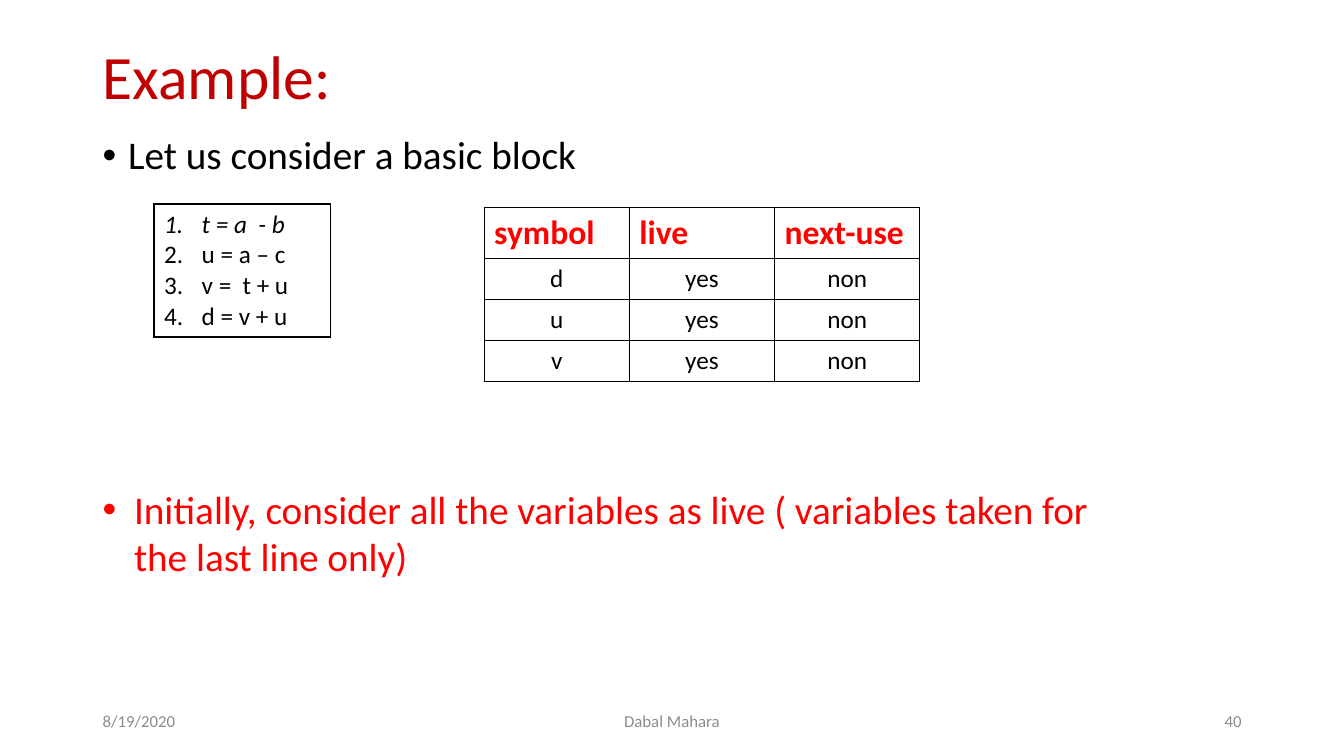
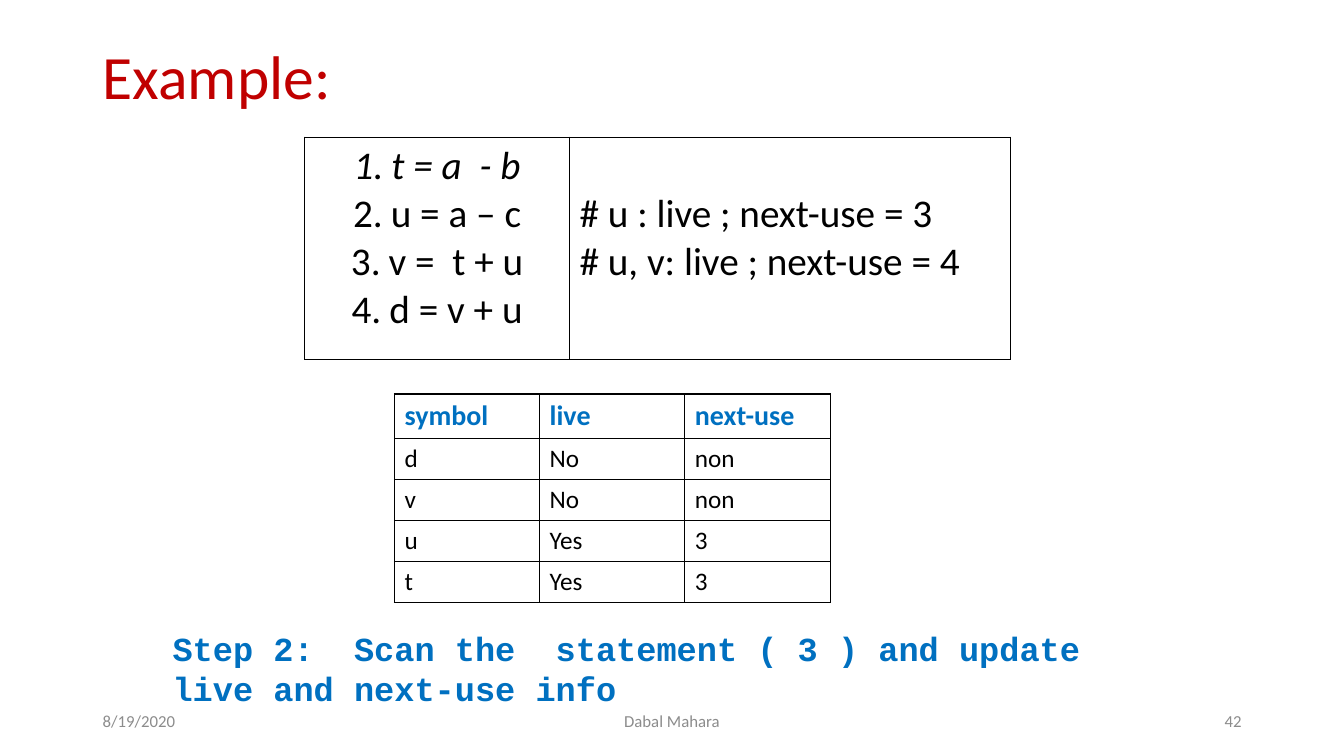
from lxml import etree
from pptx import Presentation
from pptx.dml.color import RGBColor
from pptx.enum.text import MSO_ANCHOR, PP_ALIGN
from pptx.oxml.ns import qn
from pptx.util import Cm, Pt

LEFT, MID, RIGHT = PP_ALIGN.LEFT, PP_ALIGN.CENTER, PP_ALIGN.RIGHT
TOP, CENTRE = MSO_ANCHOR.TOP, MSO_ANCHOR.MIDDLE

BLACK, WHITE, GREY = "000000", "FFFFFF", "8C8C8C"
DARK, RED, BLUE = "C00000", "FF0000", "0070C0"
BODY, CODE = "Calibri", "Courier New"
EDGE = 2.34  # left of title and footer, in cm

TITLE = "Example:"
DATE, AUTHOR = "8/19/2020", "Dabal Mahara"
HEAD = ["symbol", "live", "next-use"]
BLOCK = ["t = a  - b", "u = a – c", "v =  t + u", "d = v + u"]
NOTES = ["# u : live ; next-use = 3", "# u, v: live ; next-use = 4"]
FIRST = [["d", "yes", "non"], ["u", "yes", "non"], ["v", "yes", "non"]]
LATER = [["d", "No", "non"], ["v", "No", "non"],
         ["u", "Yes", "3"], ["t", "Yes", "3"]]
INTRO = "Let us consider a basic block"
RULE = ("Initially, consider all the variables as live "
        "( variables taken for the last line only)")
STEP = "Step 2:  Scan the  statement ( 3 ) and update live and next-use info"


def rgb(code):
    return RGBColor.from_string(code)


def mark(para, kind, indent):
    """Give a paragraph a hanging bullet ("•") or number ("1.")."""
    props = para._p.get_or_add_pPr()
    props.set("marL", str(Cm(indent)))
    props.set("indent", str(-Cm(indent)))
    if kind == "1.":
        etree.SubElement(props, qn("a:buFont"), typeface="+mj-lt")
        etree.SubElement(props, qn("a:buAutoNum"), type="arabicPeriod")
    else:
        etree.SubElement(props, qn("a:buFont"), typeface="Arial")
        etree.SubElement(props, qn("a:buChar"), char=kind)


def write(frame, lines, size=18, color=BLACK, font=BODY, bold=False,
          align=LEFT, space=None, bullet=None, indent=0, slant=()):
    """Fill a text frame; slant lists the indexes of italic lines."""
    for i, line in enumerate(lines):
        para = frame.add_paragraph() if i else frame.paragraphs[0]
        if bullet:
            mark(para, bullet, indent)
        para.alignment = align
        if space:
            para.line_spacing = space
        run = para.add_run()
        run.text = line
        face = run.font
        face.name, face.size, face.bold = font, Pt(size), bold
        face.italic = i in slant
        face.color.rgb = rgb(color)


def label(slide, text, x, y, wide, high, anchor=TOP, **style):
    box = slide.shapes.add_textbox(Cm(x), Cm(y), Cm(wide), Cm(high))
    frame = box.text_frame
    frame.word_wrap = True
    frame.vertical_anchor = anchor
    write(frame, [text], **style)


def border(cell):
    props = cell._tc.get_or_add_tcPr()
    for side in ("a:lnL", "a:lnR", "a:lnT", "a:lnB"):
        line = etree.SubElement(props, qn(side), w=str(Pt(1)))
        fill = etree.SubElement(line, qn("a:solidFill"))
        etree.SubElement(fill, qn("a:srgbClr"), val=BLACK)


def grid(slide, x, y, cols, rows):
    """Add an empty ruled table with the given column and row sizes."""
    table = slide.shapes.add_table(
        len(rows), len(cols), Cm(x), Cm(y), Cm(sum(cols)), Cm(sum(rows))).table
    table.first_row = table.horz_banding = False
    for col, wide in zip(table.columns, cols):
        col.width = Cm(wide)
    for row, high in zip(table.rows, rows):
        row.height = Cm(high)
    for cell in table.iter_cells():
        border(cell)
        cell.fill.solid()
        cell.fill.fore_color.rgb = rgb(WHITE)
    return table


def symbols(slide, x, y, data, top, size, color, align=LEFT):
    """Add a symbol table whose header row is top cm high."""
    table = grid(slide, x, y, [3.66] * len(HEAD), [top] + [1.03] * len(data))
    for r, row in enumerate([HEAD] + data):
        style = {"align": align} if r else {
            "size": size, "color": color, "bold": True}
        for c, text in enumerate(row):
            write(table.cell(r, c).text_frame, [text], **style)


def block(cell, **style):
    write(cell.text_frame, BLOCK, bullet="1.", indent=0.95, slant=(0,), **style)


def page(deck, number):
    slide = deck.slides.add_slide(deck.slide_layouts[6])
    label(slide, TITLE, EDGE, 1.02, 29.2, 1.98, CENTRE,
          size=44, color=DARK, space=0.9)
    for text, x, wide, align in ((DATE, EDGE, 7.62, LEFT),
                                 (AUTHOR, 11.22, 11.43, MID),
                                 (number, 23.92, 7.62, RIGHT)):
        label(slide, text, x, 17.65, wide, 1.02, CENTRE,
              size=12, color=GREY, align=align)
    return slide


def main():
    deck = Presentation()
    deck.slide_width, deck.slide_height = Cm(33.87), Cm(19.05)

    slide = page(deck, "40")
    label(slide, INTRO, EDGE, 3.3, 29.2, 1.5, size=28, space=0.9,
          bullet="•", indent=0.64)
    block(grid(slide, 3.88, 5.14, [4.45], [3.35]).cell(0, 0))
    symbols(slide, 12.2, 5.23, FIRST, 1.29, 24, RED, MID)
    label(slide, RULE, EDGE, 12.11, 26.6, 2.65, size=28, color=RED,
          bullet="•", indent=0.79)

    slide = page(deck, "42")
    table = grid(slide, 7.68, 3.46, [6.67, 11.12], [5.59])
    block(table.cell(0, 0), size=28, align=MID)
    notes = table.cell(0, 1)
    notes.margin_top = Cm(1.33)  # starts level with the second statement
    write(notes.text_frame, NOTES, size=28)
    symbols(slide, 9.94, 9.93, LATER, 1.13, 20, BLUE)
    label(slide, STEP, 4.1, 15.7, 25.65, 2.18, size=24, color=BLUE,
          font=CODE, bold=True)

    deck.save("out.pptx")


if __name__ == "__main__":
    main()
